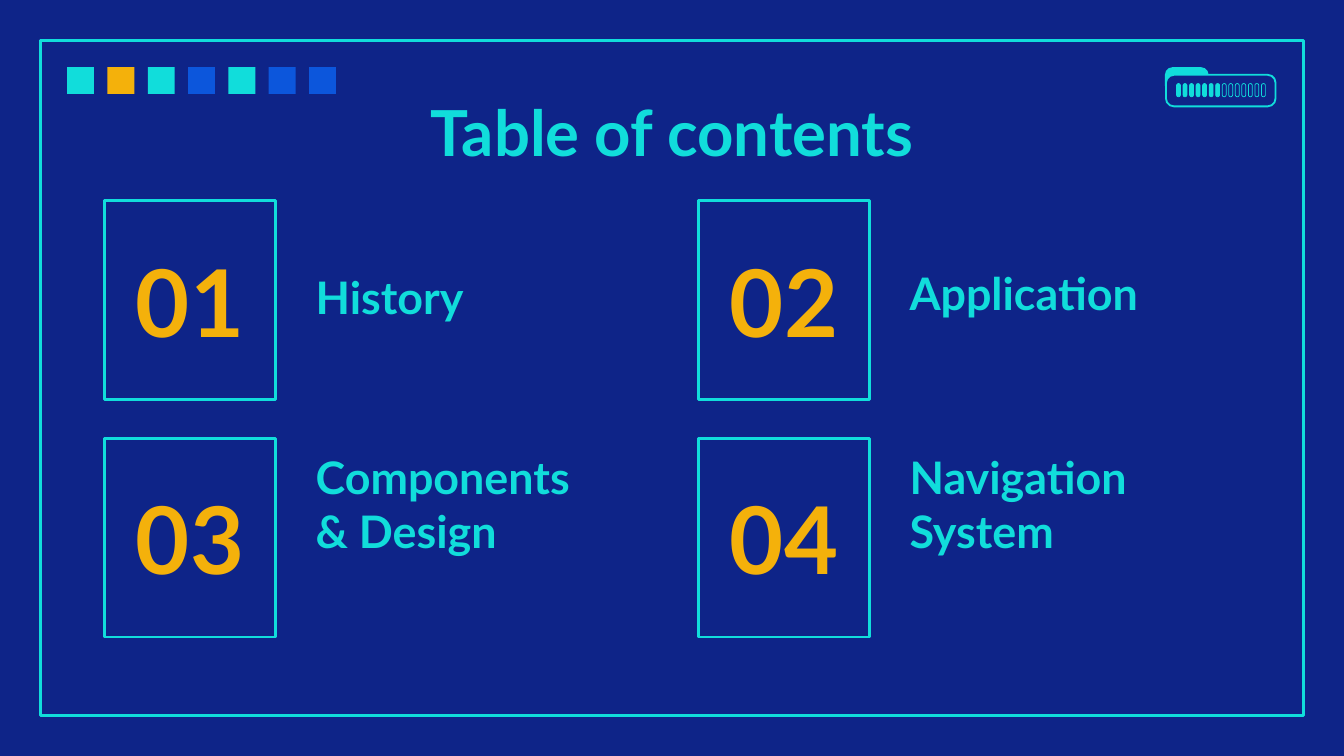
import dataclasses
import typing

import pptx
import pptx.dml.color
import pptx.enum.shapes
import pptx.enum.text
import pptx.util

Pt = pptx.util.Pt
SHAPES = pptx.enum.shapes.MSO_SHAPE
ANCHOR = pptx.enum.text.MSO_ANCHOR
ALIGN = pptx.enum.text.PP_ALIGN
COLOURS = {"navy": "0E2488", "cyan": "11DDDB", "amber": "F4B10B", "blue": "0C56DC"}
SQUARES = ["cyan", "amber", "cyan", "blue", "cyan", "blue", "blue"]
BAR_COUNT, FILLED_BARS = 14, 7


class Box(typing.NamedTuple):
    left: float
    top: float
    width: float
    height: float


@dataclasses.dataclass
class Topic:
    number: str
    label: str
    left: float
    top: float
    label_top: float
    label_width: float = 169.2


TOPICS = [
    Topic("01", "History", 56.2, 107.3, 144.7),
    Topic("02", "Application", 374.4, 107.3, 142.6, 232.6),
    Topic("03", "Components & Design", 56.2, 234.7, 270),
    Topic("04", "Navigation System", 374.4, 234.7, 270),
]


def colour(name: str) -> pptx.dml.color.RGBColor:
    """Return the named colour."""
    return pptx.dml.color.RGBColor.from_string(COLOURS[name])


def draw_shape(page, kind, box: Box, fill: str = "", line: str = "",
               weight: float = 1.5, radius: float | None = None):
    """Draw a preset shape with optional fill, outline and corner radius."""
    shape = page.shapes.add_shape(kind, *map(Pt, box))
    shape.shadow.inherit = False
    if radius is not None:
        shape.adjustments[0] = radius
    if fill:
        shape.fill.solid()
        shape.fill.fore_color.rgb = colour(fill)
    else:
        shape.fill.background()
    if line:
        shape.line.color.rgb = colour(line)
        shape.line.width = Pt(weight)
    else:
        shape.line.fill.background()
    return shape


def write_text(shape, text: str, size: float, ink: str, anchor, align) -> None:
    """Put one bold paragraph into a shape."""
    frame = shape.text_frame
    frame_format = {"word_wrap": True, "vertical_anchor": anchor}
    frame_format |= {f"margin_{side}": Pt(7.2) for side in ("left", "right", "top", "bottom")}
    for name, value in frame_format.items():
        setattr(frame, name, value)
    para = frame.paragraphs[0]
    para.alignment = align
    span = para.add_run()
    span.text = text
    for name, value in {"name": "Lato", "size": Pt(size), "bold": True}.items():
        setattr(span.font, name, value)
    span.font.color.rgb = colour(ink)


def draw_label(page, box: Box, text: str, size: float, anchor, align) -> None:
    """Draw a cyan text box."""
    label = page.shapes.add_textbox(*map(Pt, box))
    write_text(label, text, size, "cyan", anchor, align)


def draw_topic(page, topic: Topic) -> None:
    """Draw a numbered card with its label."""
    card = draw_shape(page, SHAPES.RECTANGLE, Box(topic.left, topic.top, 91.4, 106.6), line="cyan")
    write_text(card, topic.number, 50, "amber", ANCHOR.MIDDLE, ALIGN.CENTER)
    label_box = Box(topic.left + 105.8, topic.label_top, topic.label_width, 36)
    draw_label(page, label_box, topic.label, 24, ANCHOR.BOTTOM, ALIGN.LEFT)


def draw_folder(page) -> None:
    """Draw the folder with its progress bars."""
    draw_shape(page, SHAPES.ROUND_2_SAME_RECTANGLE, Box(624.1, 36, 23.4, 10), "cyan", radius=0.4)
    draw_shape(page, SHAPES.ROUNDED_RECTANGLE, Box(624.6, 40.1, 58.7, 16.9),
               "navy", "cyan", 1, 0.25)
    for index in range(BAR_COUNT):
        fill = "cyan" if index < FILLED_BARS else ""
        draw_shape(page, SHAPES.ROUNDED_RECTANGLE, Box(630.3 + 3.5 * index, 44.8, 2.1, 7.1),
                   fill, "cyan", 0.4, 0.5)


def main() -> None:
    """Build the contents slide."""
    deck = pptx.Presentation()
    deck.slide_width, deck.slide_height = Pt(720), Pt(405)
    page = deck.slides.add_slide(deck.slide_layouts[6])
    page.background.fill.solid()
    page.background.fill.fore_color.rgb = colour("navy")
    draw_shape(page, SHAPES.RECTANGLE, Box(21.6, 21.6, 676.8, 361.8), line="cyan")
    for index, fill in enumerate(SQUARES):
        draw_shape(page, SHAPES.RECTANGLE, Box(36 + 21.6 * index, 36, 14.4, 14.4), fill)
    draw_label(page, Box(56.2, 42.5, 607.6, 50.4), "Table of contents", 34,
               ANCHOR.TOP, ALIGN.CENTER)
    for topic in TOPICS:
        draw_topic(page, topic)
    draw_folder(page)
    deck.save("out.pptx")


if __name__ == "__main__":
    main()
